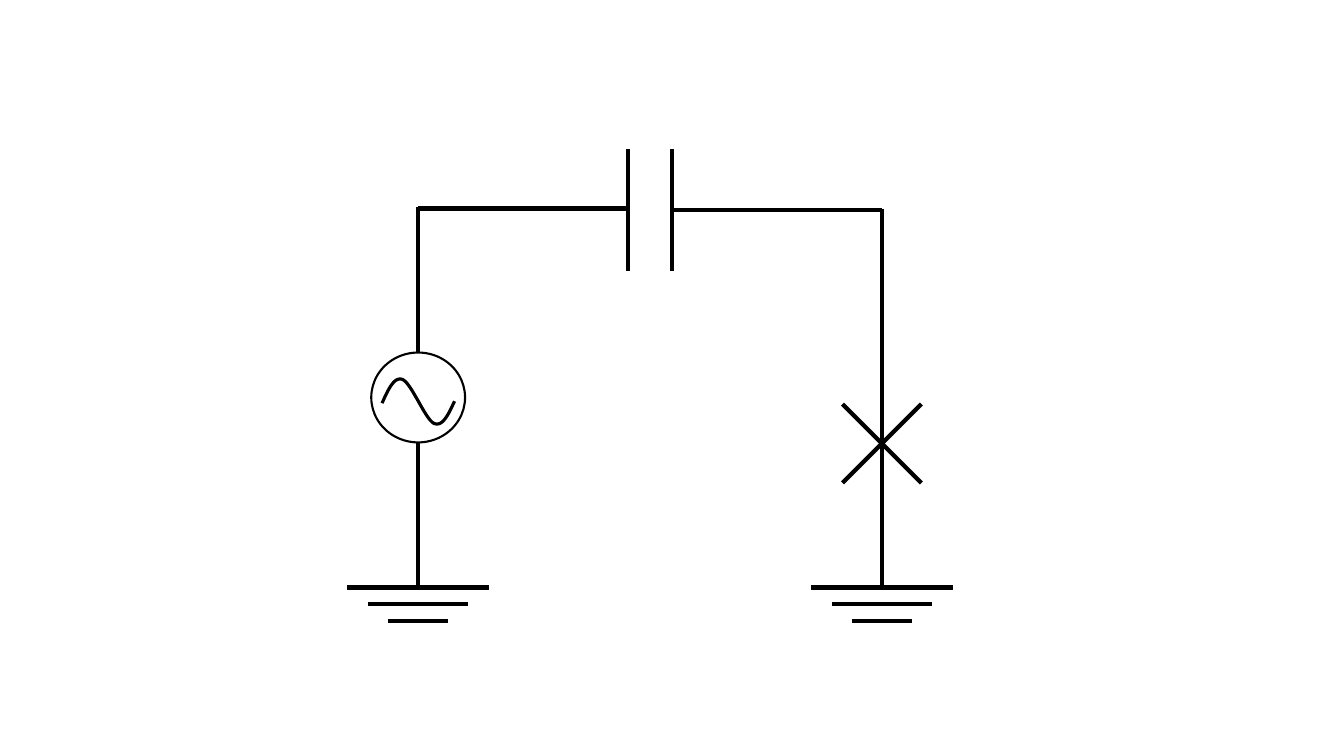
"""Circuit diagram: an AC source coupled through a capacitor to a grounded junction."""
from lxml.etree import SubElement
from pptx import Presentation
from pptx.dml.color import RGBColor
from pptx.enum.shapes import MSO_CONNECTOR as Connector, MSO_SHAPE as Shape
from pptx.oxml.ns import qn
from pptx.util import Pt

COLORS = {"ink": "000000", "paper": "FFFFFF"}
ink = RGBColor.from_string(COLORS["ink"])
paper = RGBColor.from_string(COLORS["paper"])

deck = Presentation()
deck.slide_width, deck.slide_height = Pt(960), Pt(540)
slide = deck.slides.add_slide(deck.slide_layouts[6])
circuit = slide.shapes.add_group_shape().shapes


def add_wire(x1, y1, x2, y2):
    wire = circuit.add_connector(Connector.STRAIGHT, Pt(x1), Pt(y1), Pt(x2), Pt(y2))
    wire.line.color.rgb = ink
    wire.line.width = Pt(3)
    SubElement(wire._element.spPr, qn("a:effectLst"))


def bezier(start, control1, control2, end, t):
    weights = ((1 - t) ** 3, 3 * t * (1 - t) ** 2, 3 * t ** 2 * (1 - t), t ** 3)
    corners = (start, control1, control2, end)
    return tuple(Pt(sum(w * c[axis] for w, c in zip(weights, corners))) for axis in (0, 1))


source_x, junction_x = 298.6, 630
ground_y, ground_gap = 419.6, 11.9
plate_top, plate_bottom = 106.6, 193.7
branches = [
    (source_x, 448.5, 149),
    (junction_x, 480.2, 150.2),
]

for branch_x, plate_x, top_y in branches:
    add_wire(branch_x, ground_y, branch_x, top_y - 1)
    add_wire(branch_x, top_y, plate_x, top_y)
    add_wire(plate_x, plate_bottom, plate_x, plate_top)
    for level, half_width in enumerate((50.6, 35.4, 21.5)):
        bar_y = ground_y + level * ground_gap
        add_wire(branch_x - half_width, bar_y, branch_x + half_width, bar_y)

cross_y, cross_arm = 316.8, 28.2
for rise in (-cross_arm, cross_arm):
    add_wire(junction_x - cross_arm, cross_y + rise, junction_x + cross_arm, cross_y - rise)

source = circuit.add_shape(Shape.OVAL, Pt(265.2), Pt(251.8), Pt(67), Pt(64.2))
source.shadow.inherit = False
source.fill.solid()
source.fill.fore_color.rgb = paper
source.line.color.rgb = ink
source.line.width = Pt(1.5)

wave_arcs = [
    ((272.9, 288), (277.2, 278.6), (281.5, 268.6), (287.6, 271.1)),
    ((287.6, 271.1), (293.8, 273.6), (303.8, 299.5), (309.9, 302.4)),
    ((309.9, 302.4), (316.1, 305.3), (320.4, 295.9), (324.7, 286.6)),
]
steps = 16
wave_points = [bezier(*arc, step / steps) for arc in wave_arcs for step in range(1, steps + 1)]
wave_start = bezier(*wave_arcs[0], 0)
wave_builder = circuit.build_freeform(*wave_start)
wave_builder.add_line_segments(wave_points, close=False)
wave = wave_builder.convert_to_shape()
wave.shadow.inherit = False
wave.fill.background()
wave.line.color.rgb = ink
wave.line.width = Pt(2.25)

deck.save("out.pptx")
